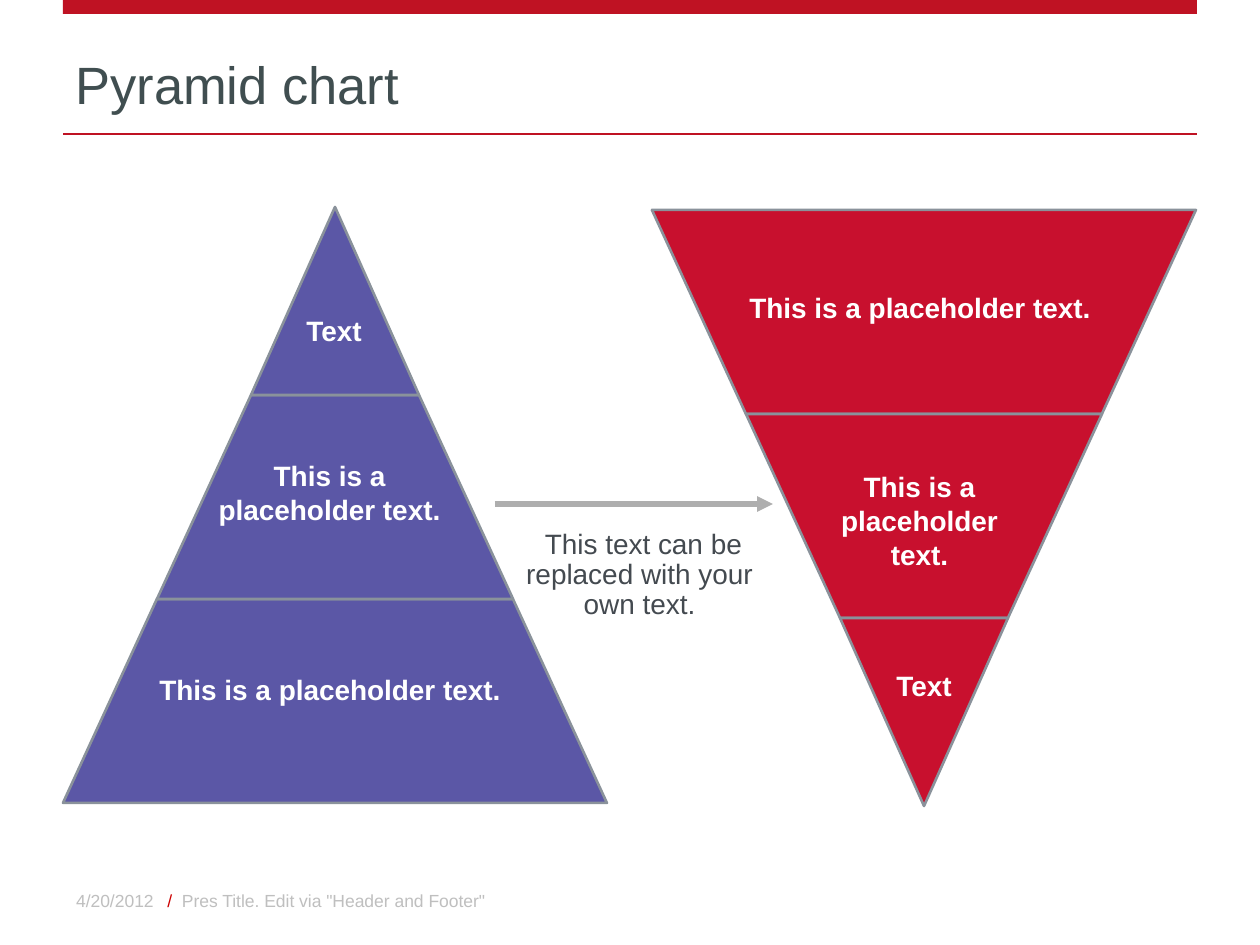
"""Build a slide with an upright and an inverted pyramid joined by an arrow."""
from copy import deepcopy
from dataclasses import dataclass

from lxml.etree import SubElement
from pptx import Presentation
from pptx.dml.color import RGBColor
from pptx.enum.shapes import MSO_CONNECTOR as Connector, MSO_SHAPE as Preset
from pptx.enum.text import MSO_ANCHOR as Anchor, PP_ALIGN as Align
from pptx.oxml.ns import qn
from pptx.util import Emu, Pt

SCALE = 914400 / 126


@dataclass(frozen=True)
class Theme:
    """Colours, font and type sizes of the slide."""
    font: str = "Arial"
    title: str = "404E50"
    accent: str = "BF1223"
    slash: str = "CC0000"
    footer: str = "BFBFBF"
    body: str = "444A50"
    white: str = "FFFFFF"
    upright: str = "5B57A6"
    inverted: str = "C8102E"
    outline: str = "8A929B"
    arrow: str = "AEAEAE"
    title_size: int = 30
    body_size: int = 16
    footer_size: int = 10


THEME = Theme()
TIERS = [(0, 0), (188, 84), (392, 178), (596, 272)]


def px(value):
    """Turn pixels into EMU."""
    return Emu(round(value * SCALE))


def rgb(colour):
    """Turn a hex string into a colour."""
    return RGBColor.from_string(colour)


def add_text(slide, box, pieces, size=THEME.body_size, bold=False, align=Align.LEFT,
             anchor=Anchor.TOP, inset=True, spacing=None):
    """Place a text box holding one paragraph of (text, colour) pieces."""
    frame = slide.shapes.add_textbox(*map(px, box)).text_frame
    frame.word_wrap = True
    frame.vertical_anchor = anchor
    if not inset:
        frame.margin_left = frame.margin_right = frame.margin_top = frame.margin_bottom = 0
    paragraph = frame.paragraphs[0]
    paragraph.alignment = align
    if spacing:
        paragraph.line_spacing = spacing
    for text, colour in pieces:
        for index, line in enumerate(text.split("\n")):
            if index:
                paragraph.add_line_break()
            run = paragraph.add_run()
            run.text = line
            run.font.name = THEME.font
            run.font.size = Pt(size)
            run.font.bold = bold
            run.font.color.rgb = rgb(colour)
    for line_break in paragraph._p.findall(qn("a:br")):
        line_break.append(deepcopy(run._r.rPr))


def paint(shape, fill, outline=None):
    """Fill a shape flat and outline it when asked."""
    shape.shadow.inherit = False
    shape.fill.solid()
    shape.fill.fore_color.rgb = rgb(fill)
    if outline:
        shape.line.color.rgb = rgb(outline)
        shape.line.width = Pt(1.5)
    else:
        shape.line.fill.background()


def add_line(slide, start, end, colour, width, arrow=False):
    """Draw a straight line, with an arrowhead at its end when asked."""
    connector = slide.shapes.add_connector(Connector.STRAIGHT, *map(px, start + end))
    connector.line.color.rgb = rgb(colour)
    connector.line.width = Pt(width)
    if arrow:
        SubElement(connector.line._get_or_add_ln(), qn("a:tailEnd"), type="triangle")
    SubElement(connector._element.spPr, qn("a:effectLst"))


def add_header(slide, left, top, width):
    """Place the top bar, the title and the rule below it."""
    bar = slide.shapes.add_shape(Preset.RECTANGLE, *map(px, (left, top, width, 14)))
    paint(bar, THEME.accent)
    add_text(slide, (left, top + 35, width, 86), [("Pyramid chart", THEME.title)],
             size=THEME.title_size, anchor=Anchor.BOTTOM)
    add_line(slide, (left, top + 134), (left + width, top + 134), THEME.accent, 1)


def add_pyramid(slide, left, top, fill, labels, inverted=False):
    """Stack the tiers of a pyramid and label them; label boxes are relative."""
    height, half_base = TIERS[-1]
    centre = left + half_base

    def level(depth):
        return top + (height - depth if inverted else depth)

    for (near, half_near), (far, half_far) in reversed(list(zip(TIERS, TIERS[1:]))):
        if half_near:
            builder = slide.shapes.build_freeform(
                centre - half_far, level(far), scale=SCALE)
            builder.add_line_segments([
                (centre - half_near, level(near)), (centre + half_near, level(near)),
                (centre + half_far, level(far))], close=True)
            tier = builder.convert_to_shape()
        else:
            box = (centre - half_far, min(level(near), level(far)), 2 * half_far, far - near)
            tier = slide.shapes.add_shape(Preset.ISOSCELES_TRIANGLE, *map(px, box))
            tier.rotation = 180 if inverted else 0
        paint(tier, fill, THEME.outline)
    for text, x, y, width, rows in labels:
        add_text(slide, (left + x, top + y, width, 34 * rows), [(text, THEME.white)],
                 bold=True, align=Align.CENTER, inset=False)


def add_transition(slide, left, top):
    """Place the arrow between the pyramids and its caption."""
    add_line(slide, (left, top), (left + 278, top), THEME.arrow, 3, arrow=True)
    add_text(slide, (left + 10, top + 20, 277, 105),
             [("This text can be replaced with your \nown text. ", THEME.body)],
             align=Align.CENTER, spacing=0.9)


def add_footer(slide, left, top):
    """Place the date and the presentation title."""
    add_text(slide, (left, top, 146, 50), [("4/20/2012", THEME.footer)],
             size=THEME.footer_size, align=Align.RIGHT, anchor=Anchor.MIDDLE)
    add_text(slide, (left + 135, top, 399, 50),
             [("/ ", THEME.slash), (' Pres Title. Edit via "Header and Footer"', THEME.footer)],
             size=THEME.footer_size, anchor=Anchor.MIDDLE)


def main():
    """Assemble and save the slide."""
    presentation = Presentation()
    presentation.slide_width, presentation.slide_height = px(1260), px(945)
    slide = presentation.slides.add_slide(presentation.slide_layouts[6])
    sentence = "This is a placeholder text. "
    add_header(slide, 63, 0, 1134)
    add_footer(slide, 20, 876)
    add_pyramid(slide, 63, 207, THEME.upright, [
        (sentence, 93, 466, 356, 1),
        ("This is a \nplaceholder text. ", 137, 252, 267, 2),
        ("Text", 210, 107, 122, 1)])
    add_pyramid(slide, 652, 210, THEME.inverted, [
        ("Text", 211, 459, 122, 1),
        (sentence, 79, 81, 386, 1),
        ("This is a \nplaceholder \ntext. ", 138, 260, 267, 3)], inverted=True)
    add_transition(slide, 495, 504)
    presentation.save("out.pptx")


main()
